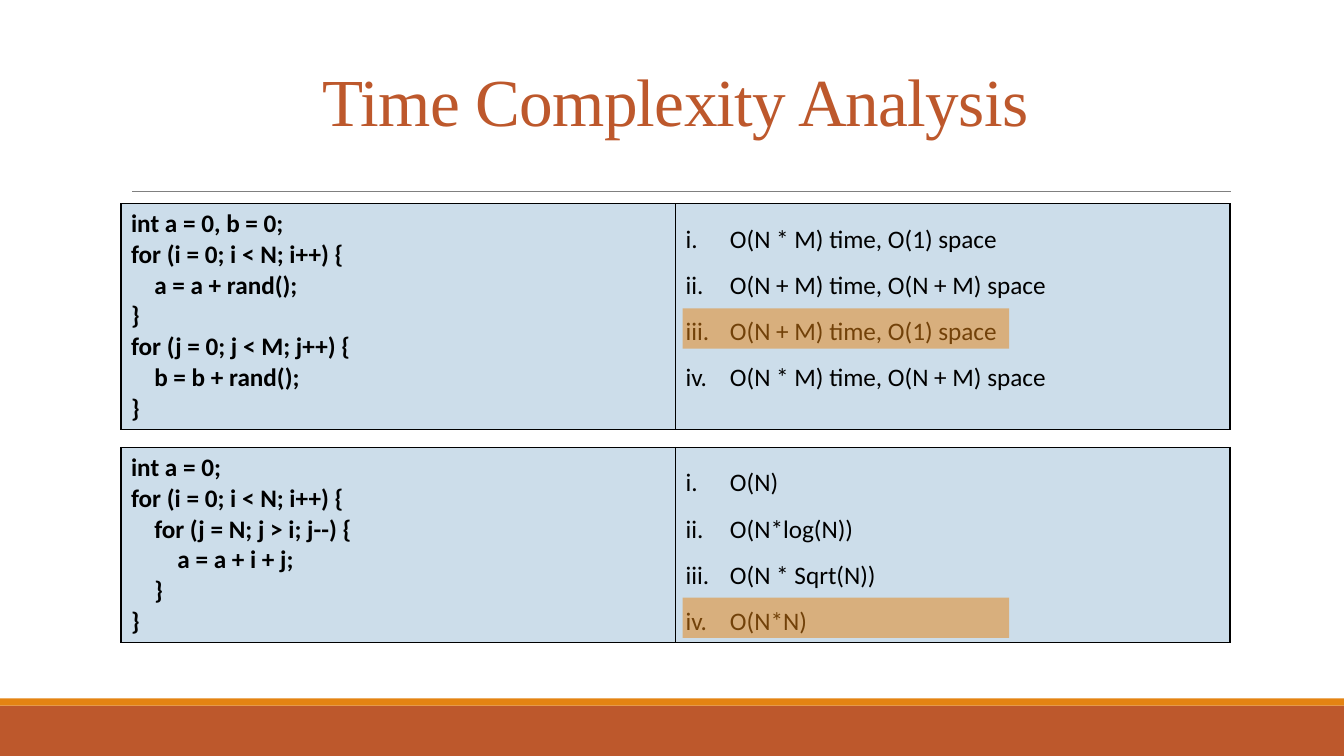
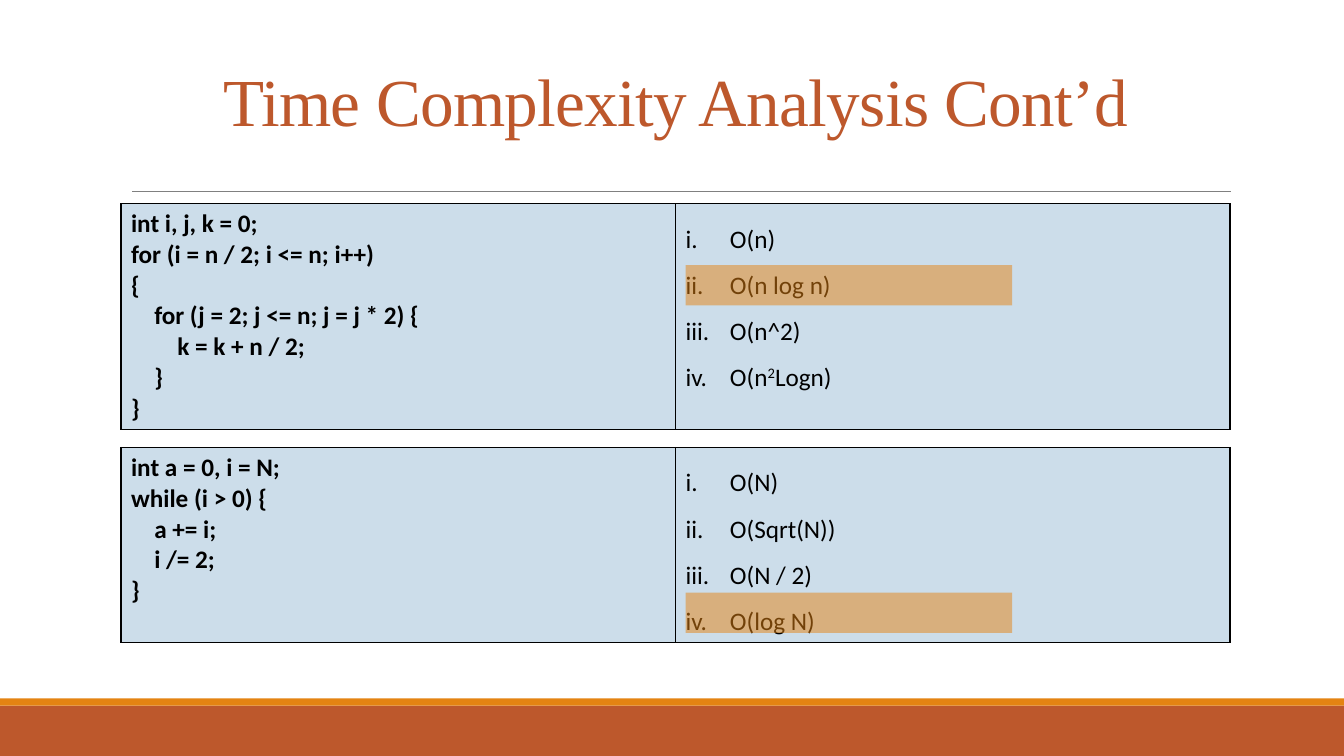
from pptx import Presentation, util as u
from pptx.dml.color import RGBColor
from pptx.enum import shapes, text
from pptx.oxml import parse_xml
from pptx.oxml.ns import nsdecls, qn
from lxml import etree

HUE = {"rust": "BD582C", "gold": "E48312", "rule": "808080",
       "cell": "CCDDEA", "ink": "000000"}
HEAD = {"name": "Times New Roman", "size": u.Pt(48), "bold": False}
CODE = {"name": "Calibri", "size": u.Pt(18), "bold": True}
PICK = {**CODE, "bold": False}
WIDE, TALL = 13.33, 7.5
LEFT, SPAN = 1.2, 11
STEP, HANG = 0.23, 0.44  # code indent per level, hanging indent of choices


def rgb(hue):
    return RGBColor.from_string(HUE[hue])


def style(font, look, hue):
    for key, val in look.items():
        setattr(font, key, val)
    font.color.rgb = rgb(hue)


class Deck:
    def __init__(self):
        self.prs = Presentation()
        self.prs.slide_width = u.Inches(WIDE)
        self.prs.slide_height = u.Inches(TALL)
        self.base = self.prs.slide_layouts[5]
        self.slide = None

    def page(self, title):
        first = self.slide is None
        if first:  # the layout keeps only its title
            for item in list(self.base.placeholders)[1:]:
                item.element.getparent().remove(item.element)
        self.slide = self.prs.slides.add_slide(self.base)
        if first:
            self.frame()
        self.title(title)

    def frame(self):
        """Bands and title rule, placed on the shared layout."""
        parts = [self.rect(0, 7, WIDE, 0.5, "rust"),
                 self.rect(0, 6.93, WIDE, 0.07, "gold"),
                 self.line(1.31, 12.21, 1.9)]
        for part in parts:
            self.base.shapes._spTree.append(part._element)

    def title(self, words):
        box = self.slide.shapes.title
        spot = {"left": LEFT, "top": 0.31, "width": SPAN, "height": 1.49}
        for key, val in spot.items():
            setattr(box, key, u.Inches(val))
        frame = box.text_frame
        frame.text = words
        frame.word_wrap = True
        frame.auto_size = text.MSO_AUTO_SIZE.NONE
        frame.vertical_anchor = text.MSO_ANCHOR.MIDDLE
        para = frame.paragraphs[0]
        para.alignment = text.PP_ALIGN.CENTER
        para.line_spacing = 0.85
        run = para.runs[0]
        style(run.font, HEAD, "rust")
        run._r.get_or_add_rPr().set("spc", "-50")

    def rect(self, x, y, w, h, hue, alpha=None):
        box = self.slide.shapes.add_shape(
            shapes.MSO_SHAPE.RECTANGLE, *map(u.Inches, (x, y, w, h)))
        box.shadow.inherit = False
        box.fill.solid()
        box.fill.fore_color.rgb = rgb(hue)
        box.line.fill.background()
        if alpha:
            color = box._element.spPr.find(".//" + qn("a:srgbClr"))
            etree.SubElement(color, qn("a:alpha")).set("val", str(alpha * 1000))
        return box

    def line(self, x, end, y):
        rule = self.slide.shapes.add_connector(
            shapes.MSO_CONNECTOR.STRAIGHT, *map(u.Inches, (x, y, end, y)))
        rule.line.color.rgb = rgb("rule")
        rule.line.width = u.Pt(0.5)
        etree.SubElement(rule._element.spPr, qn("a:effectLst"))
        return rule

    def quiz(self, y, h, code, picks):
        """One row: code on the left, choices on the right."""
        grid = self.slide.shapes.add_table(
            1, 2, *map(u.Inches, (LEFT, y, SPAN, h))).table
        grid.first_row = grid.horz_banding = False
        for cell in grid.iter_cells():
            self.cell(cell)
        left, right = (cell.text_frame for cell in grid.iter_cells())

        for para, row in self.paras(left, code):
            words = row.lstrip()
            depth = (len(row) - len(words)) // 4
            para._p.get_or_add_pPr().set("marL", str(u.Inches(depth * STEP)))
            self.run(para, words, CODE)

        for para, row in self.paras(right, picks):
            para.line_spacing = 1.5
            prop = para._p.get_or_add_pPr()
            prop.set("marL", str(u.Inches(HANG)))
            prop.set("indent", str(u.Inches(-HANG)))
            etree.SubElement(prop, qn("a:buAutoNum")).set("type", "romanLcPeriod")
            # in a tuple, every second part is raised
            parts = row if isinstance(row, tuple) else (row,)
            for num, words in enumerate(parts):
                run = self.run(para, words, PICK)
                if num % 2:
                    run._r.get_or_add_rPr().set("baseline", "30000")

    def paras(self, frame, rows):
        for num, row in enumerate(rows):
            yield (frame.add_paragraph() if num else frame.paragraphs[0]), row

    def run(self, para, words, look):
        run = para.add_run()
        run.text = words
        style(run.font, look, "ink")
        return run

    def cell(self, cell):
        prop = cell._tc.get_or_add_tcPr()
        for side in "LRTB":
            prop.append(parse_xml(
                f'<a:ln{side} {nsdecls("a")} w="{u.Pt(1)}"><a:solidFill>'
                f'<a:srgbClr val="{HUE["ink"]}"/></a:solidFill></a:ln{side}>'))
        cell.fill.solid()
        cell.fill.fore_color.rgb = rgb("cell")

    def mark(self, x, y):
        self.rect(x, y, 3.24, 0.4, "gold", alpha=50)


# Each page: title, left of marks, tops of marks, (code, choices) pairs
PAGES = [
    ("Time Complexity Analysis", 6.77, (3.06, 5.93), [
        (["int a = 0, b = 0;",
          "for (i = 0; i < N; i++) {",
          "    a = a + rand();",
          "}",
          "for (j = 0; j < M; j++) {",
          "    b = b + rand();",
          "}"],
         ["O(N * M) time, O(1) space", "O(N + M) time, O(N + M) space",
          "O(N + M) time, O(1) space", "O(N * M) time, O(N + M) space"]),
        (["int a = 0;",
          "for (i = 0; i < N; i++) {",
          "    for (j = N; j > i; j--) {",
          "        a = a + i + j;",
          "    }",
          "}"],
         ["O(N)", "O(N*log(N))", "O(N * Sqrt(N))", "O(N*N)"]),
    ]),
    ("Time Complexity Analysis Cont’d", 6.8, (2.63, 5.88), [
        (["int i, j, k = 0;",
          "for (i = n / 2; i <= n; i++)",
          "{",
          "    for (j = 2; j <= n; j = j * 2) {",
          "        k = k + n / 2;",
          "    }",
          "}"],
         ["O(n)", "O(n log n)", "O(n^2)", ("O(n", "2", "Logn)")]),
        (["int a = 0, i = N;",
          "while (i > 0) {",
          "    a += i;",
          "    i /= 2;",
          "}"],
         ["O(N)", "O(Sqrt(N))", "O(N / 2)", "O(log N)"]),
    ]),
]
ROWS = [(2.02, 2.24), (4.44, 1.93)]  # top and height of the two tables


def main():
    deck = Deck()
    for title, x, tops, pairs in PAGES:
        deck.page(title)
        for (y, h), (code, picks) in zip(ROWS, pairs):
            deck.quiz(y, h, code, picks)
        for top in tops:
            deck.mark(x, top)
    deck.prs.save("out.pptx")


if __name__ == "__main__":
    main()
